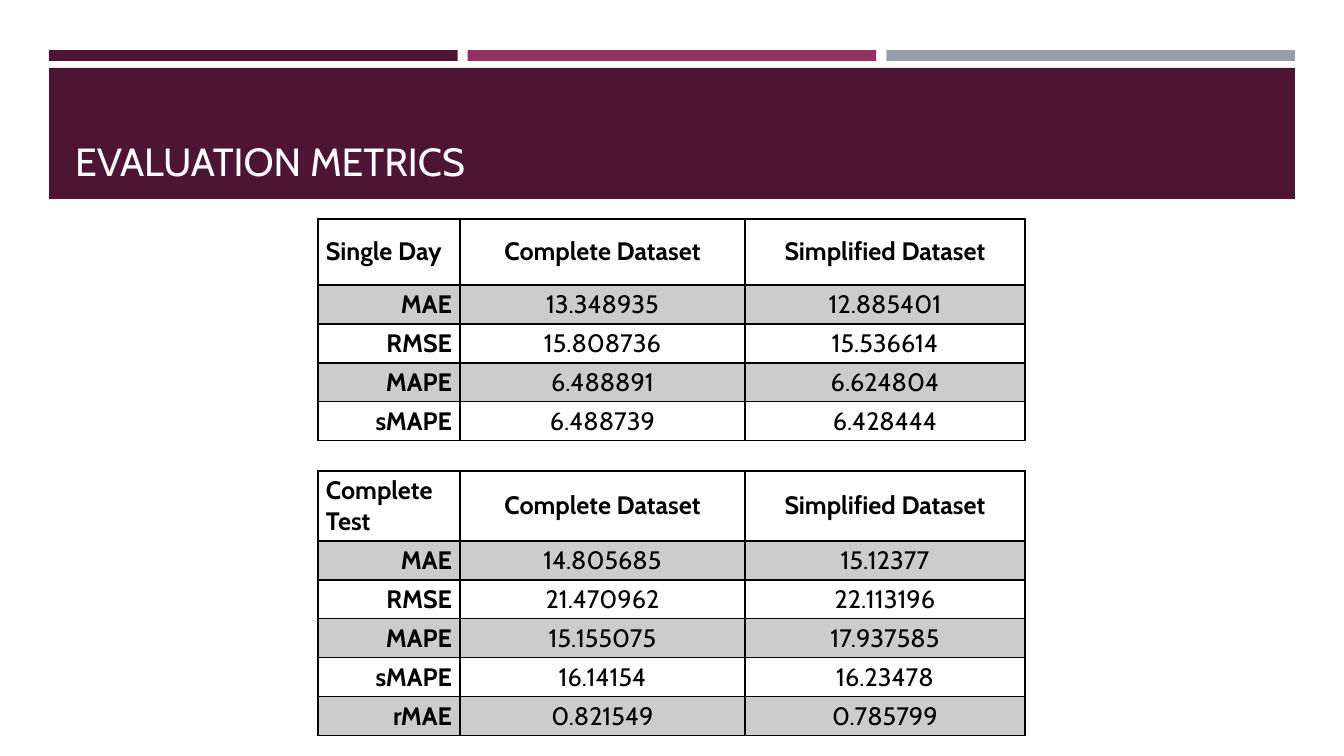
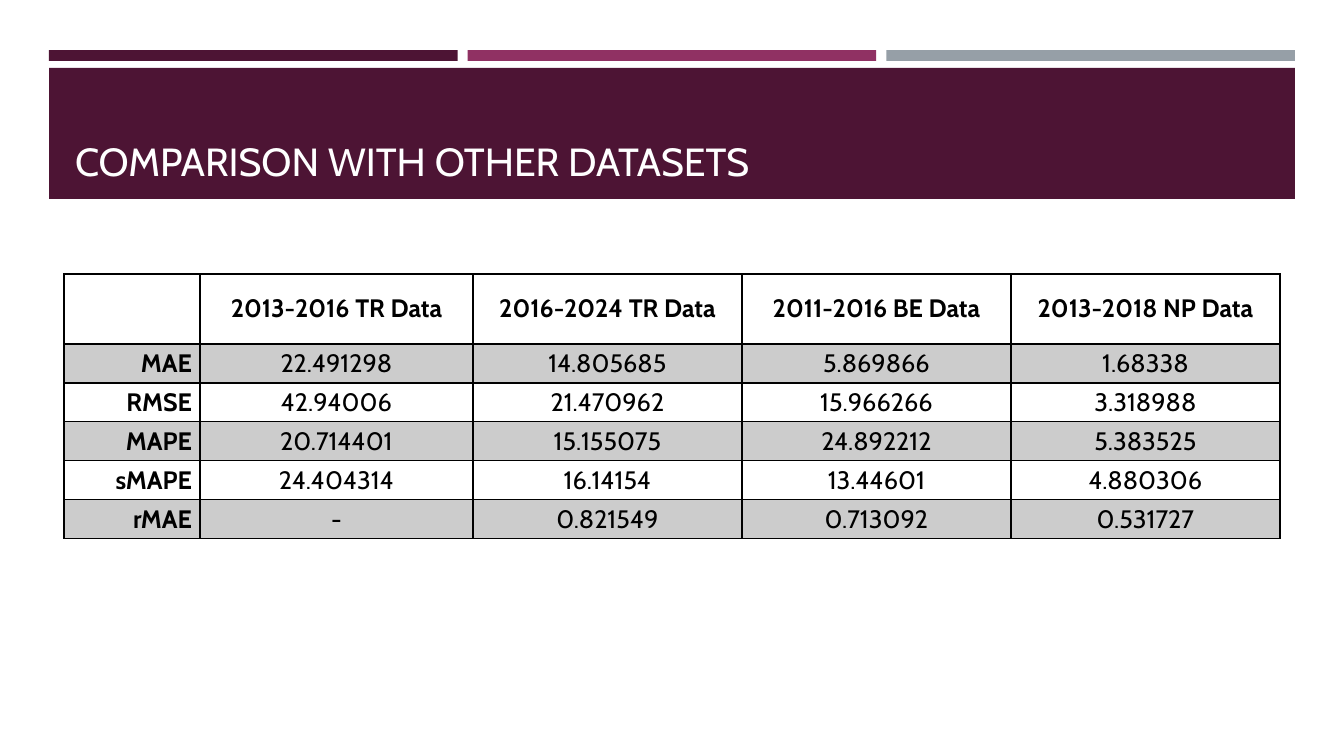
import pptx
import pptx.util
import pptx.dml.color
import pptx.enum.shapes
import pptx.enum.text
import pptx.oxml.ns
import lxml.etree

EMU_PER_PX = 914400 / 100.8
FONT = "Cabin"
COLORS = {
    "plum": "4D1434",
    "magenta": "903163",
    "gray": "969FA7",
    "ink": "000000",
    "paper": "FFFFFF",
}
TITLE_BOX = (65, 78, 1216, 112)
HEADER_BOX = (49, 50, 1246, 149)
ROW_HEIGHT = 39
SHADE_ALPHA = 20000
ALIGN = pptx.enum.text.PP_ALIGN
MIDDLE = pptx.enum.text.MSO_ANCHOR.MIDDLE

DATASET_HEADS = ["Complete Dataset", "Simplified Dataset"]
DATASET_WIDTHS = [142, 285, 280]
SINGLE_DAY = [
    ["Single Day", *DATASET_HEADS],
    ["MAE", "13.348935", "12.885401"],
    ["RMSE", "15.808736", "15.536614"],
    ["MAPE", "6.488891", "6.624804"],
    ["sMAPE", "6.488739", "6.428444"],
]
COMPLETE_TEST = [
    ["Complete Test", *DATASET_HEADS],
    ["MAE", "14.805685", "15.12377"],
    ["RMSE", "21.470962", "22.113196"],
    ["MAPE", "15.155075", "17.937585"],
    ["sMAPE", "16.14154", "16.23478"],
    ["rMAE", "0.821549", "0.785799"],
]
COMPARISON_WIDTHS = [136, 273, 269, 269, 269]
COMPARISON = [
    ["", "2013-2016 TR Data", "2016-2024 TR Data", "2011-2016 BE Data", "2013-2018 NP Data"],
    ["MAE", "22.491298", "14.805685", "5.869866", "1.68338"],
    ["RMSE", "42.94006", "21.470962", "15.966266", "3.318988"],
    ["MAPE", "20.714401", "15.155075", "24.892212", "5.383525"],
    ["sMAPE", "24.404314", "16.14154", "13.44601", "4.880306"],
    ["rMAE", "-", "0.821549", "0.713092", "0.531727"],
]


def px(length):
    return pptx.util.Emu(round(length * EMU_PER_PX))


def rgb(name):
    return pptx.dml.color.RGBColor.from_string(COLORS[name])


def add_run(para, text, size, color, bold=False):
    span = para.add_run()
    span.text = text
    span.font.name = FONT
    span.font.size = pptx.util.Pt(size)
    span.font.bold = bold
    span.font.color.rgb = rgb(color)


def add_band(page, box, color):
    band = page.shapes.add_shape(
        pptx.enum.shapes.MSO_SHAPE.RECTANGLE, *(px(length) for length in box)
    )
    band.shadow.inherit = False
    band.fill.solid()
    band.fill.fore_color.rgb = rgb(color)
    band.line.fill.background()
    return band


def add_header_bands(page, box):
    left, top, width, height = box
    gap, strip_height, banner_top = 10, 11, 18
    strip_width = (width - 2 * gap) / 3
    bands = [
        add_band(page, (left + i * (strip_width + gap), top, strip_width, strip_height), color)
        for i, color in enumerate(("plum", "magenta", "gray"))
    ]
    banner = (left, top + banner_top, width, height - banner_top)
    bands.append(add_band(page, banner, "plum"))
    return bands


def prepare_layout(layout, page):
    for holder in list(layout.placeholders):
        if holder.placeholder_format.idx == 0:
            holder.left, holder.top, holder.width, holder.height = map(px, TITLE_BOX)
        else:
            layout.shapes.element.remove(holder.element)
    for position, band in enumerate(add_header_bands(page, HEADER_BOX), 2):
        layout.shapes.element.insert(position, band.element)


def fill_title(page, text):
    frame = page.shapes.title.text_frame
    frame.auto_size = pptx.enum.text.MSO_AUTO_SIZE.NONE
    frame.word_wrap = True
    frame.vertical_anchor = pptx.enum.text.MSO_ANCHOR.BOTTOM
    para = frame.paragraphs[0]
    para.alignment = ALIGN.LEFT
    para.line_spacing = 0.9
    add_run(para, text, 28, "paper")


def set_borders(cell, row):
    weights = {"L": 1, "R": 1, "T": 2 if row == 1 else 1, "B": 2 if row == 0 else 1}
    properties = cell._tc.get_or_add_tcPr()
    for side, weight in weights.items():
        line = lxml.etree.SubElement(
            properties, pptx.oxml.ns.qn("a:ln" + side), w=str(pptx.util.Pt(weight))
        )
        fill = lxml.etree.SubElement(line, pptx.oxml.ns.qn("a:solidFill"))
        lxml.etree.SubElement(fill, pptx.oxml.ns.qn("a:srgbClr"), val=COLORS["ink"])


def shade_cell(cell):
    cell.fill.solid()
    cell.fill.fore_color.rgb = rgb("ink")
    color = cell._tc.tcPr.find(".//" + pptx.oxml.ns.qn("a:srgbClr"))
    color = cell._tc.tcPr.find(
        pptx.oxml.ns.qn("a:solidFill") + "/" + pptx.oxml.ns.qn("a:srgbClr")
    )
    lxml.etree.SubElement(color, pptx.oxml.ns.qn("a:alpha"), val=str(SHADE_ALPHA))


def fill_cell(cell, row, column, text):
    set_borders(cell, row)
    if row % 2:
        shade_cell(cell)
    else:
        cell.fill.background()
    cell.vertical_anchor = MIDDLE
    cell.margin_left = cell.margin_right = px(8)
    cell.margin_top = cell.margin_bottom = px(4)
    para = cell.text_frame.paragraphs[0]
    if column:
        para.alignment = ALIGN.CENTER
    else:
        para.alignment = ALIGN.RIGHT if row else ALIGN.LEFT
    if text:
        add_run(para, text, 18, "ink", bold=row == 0 or column == 0)


def add_metric_table(page, left, top, widths, head_height, rows):
    heights = [head_height] + [ROW_HEIGHT] * (len(rows) - 1)
    box = (left, top, sum(widths), sum(heights))
    table = page.shapes.add_table(len(rows), len(widths), *map(px, box)).table
    table.first_row = False
    table.horz_banding = False
    for column, width in zip(table.columns, widths):
        column.width = px(width)
    for row, height in zip(table.rows, heights):
        row.height = px(height)
    for i, values in enumerate(rows):
        for j, text in enumerate(values):
            fill_cell(table.cell(i, j), i, j, text)


def build_evaluation(page):
    fill_title(page, "EVALUATION METRICS")
    add_metric_table(page, 318, 219, DATASET_WIDTHS, 66, SINGLE_DAY)
    add_metric_table(page, 318, 471, DATASET_WIDTHS, 70, COMPLETE_TEST)


def build_comparison(page):
    fill_title(page, "COMPARISON WITH OTHER DATASETS")
    add_metric_table(page, 64, 274, COMPARISON_WIDTHS, 70, COMPARISON)


def main():
    deck = pptx.Presentation()
    deck.slide_width, deck.slide_height = px(1344), px(756)
    layout = deck.slide_layouts[5]
    pages = [deck.slides.add_slide(layout) for _ in range(2)]
    prepare_layout(layout, pages[0])
    build_evaluation(pages[0])
    build_comparison(pages[1])
    deck.save("out.pptx")


if __name__ == "__main__":
    main()
